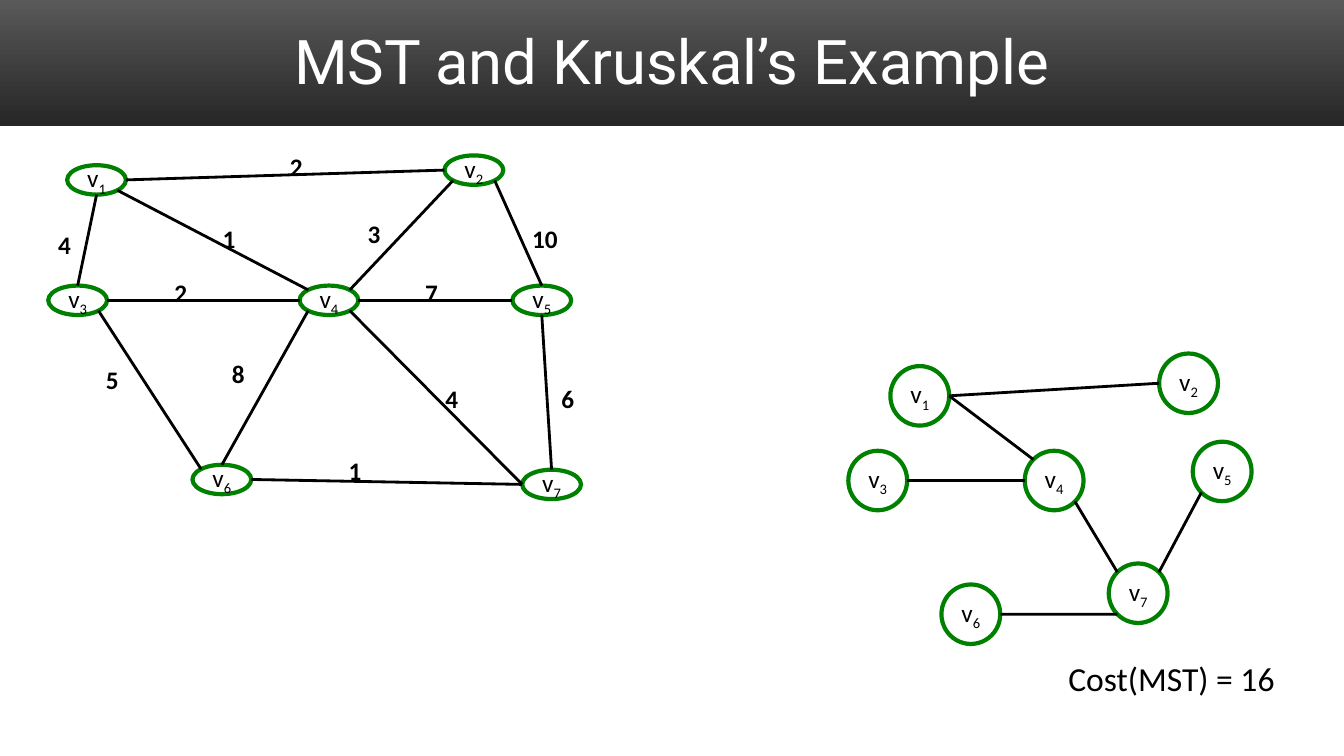
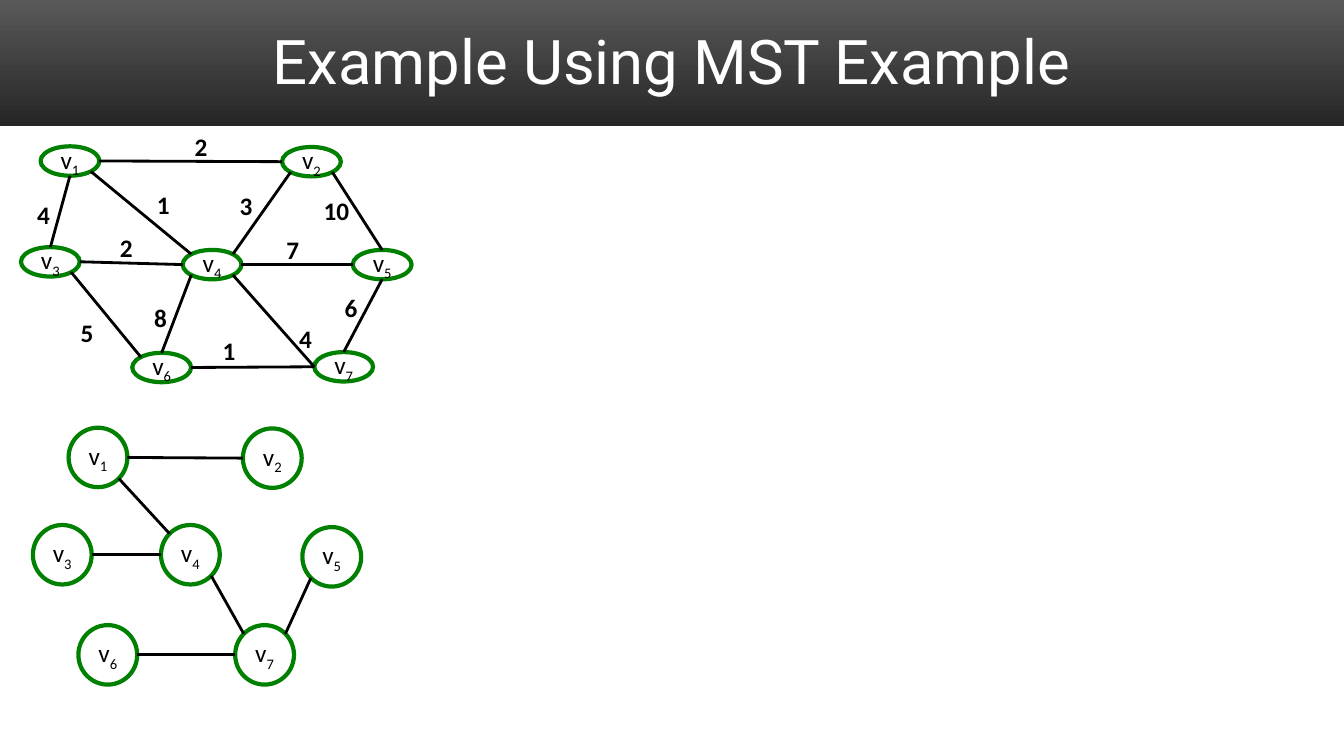
"""Builds two slides that compare a weighted graph with its minimum spanning tree."""
from dataclasses import dataclass
from math import cos, radians, sin

from pptx import Presentation
from pptx.dml.color import RGBColor
from pptx.enum import shapes as kinds, text as layout
from pptx.oxml import xmlchemy
from pptx.util import Pt


@dataclass(frozen=True)
class Theme:
    """Colours, fonts and sizes."""
    ink: str = "000000"
    title_ink: str = "FFFFFF"
    vertex_line: str = "008000"
    band: tuple = ("595959", "262626")
    title_font: str = "Roboto"
    body_font: str = "Calibri"
    title_size: int = 44
    note_size: int = 24
    label_size: int = 18
    vertex_weight: int = 3
    edge_weight: int = 2


THEME = Theme()
WIDTH, HEIGHT = 960, 540
VERTEX_WIDTH = 42
SITES = ("T", "TL", "L", "BL", "B", "BR", "R", "TR")

GRAPH_EDGES = [
    ("v1 R", "v2 L", 2), ("v1 B", "v3 T", 4), ("v1 BR", "v4 TL", 1),
    ("v2 BL", "v4 TR", 3), ("v2 BR", "v5 T", 10), ("v3 R", "v4 L", 2),
    ("v4 R", "v5 L", 7), ("v3 BR", "v6 TL", 5), ("v4 BL", "v6 T", 8),
    ("v4 BR", "v7 L", 4), ("v5 B", "v7 T", 6), ("v6 R", "v7 L", 1),
]
TREE_EDGES = [
    ("v1 R", "v2 L"), ("v3 R", "v4 L"), ("v4 BR", "v7 TL"), ("v5 BL", "v7 TR"),
]

SLIDES = [
    {
        "title": "MST and Kruskal’s Example",
        "graph": [(48, 118), (317.5, 111), (34.5, 204), (214, 204), (366, 204),
                  (137.5, 332), (373, 335.5)],
        "weights": [(200, 104.5), (34.5, 160), (152, 156), (255.5, 152.5),
                    (373, 156), (117.5, 194.5), (296.5, 194.5), (68.5, 256.5),
                    (158.5, 252.5), (311, 270), (394, 270), (242, 322)],
        "weight_height": 36,
        "tree": [(636, 261.5), (828, 252.5), (606, 322), (732, 322),
                 (852, 315.5), (672.5, 417.5), (792, 402.5)],
        "tree_edges": TREE_EDGES + [("v1 R", "v4 TL"), ("v6 R", "v7 BL")],
        "note": ("Cost(MST) = 16", (756, 466.5, 183, 36)),
    },
    {
        "title": "Example Using MST Example",
        "graph": [(29, 104.5), (201.5, 105), (15, 176.5), (130.5, 178.5),
                  (252, 178.5), (94.5, 252), (224.5, 251.5)],
        "weights": [(132, 90.5), (19.5, 139), (105, 132), (164, 132.5),
                    (224, 136), (78.5, 162.5), (197.5, 164), (50.5, 223),
                    (103, 212.5), (206.5, 227.5), (239, 205), (152, 236)],
        "weight_height": 29,
        "tree": [(49, 305.5), (173.5, 306), (23.5, 375), (115, 375),
                 (216, 376.5), (56, 446.5), (168, 446.5)],
        "tree_edges": TREE_EDGES + [("v1 BR", "v4 TL"), ("v6 R", "v7 L")],
        "note": None,
    },
]


def color(code):
    return RGBColor.from_string(code)


def add_run(paragraph, words, size, font=THEME.body_font, ink=THEME.ink, bold=None):
    run = paragraph.add_run()
    run.text = words
    run.font.size, run.font.name, run.font.bold = Pt(size), font, bold
    run.font.color.rgb = color(ink)
    return run


def add_label(slide, words, box, size, **style):
    label = slide.shapes.add_textbox(*map(Pt, box))
    label.text_frame.word_wrap = True
    add_run(label.text_frame.paragraphs[0], words, size, **style)
    return label.text_frame


def add_header(slide, title):
    band = slide.shapes.add_shape(kinds.MSO_SHAPE.RECTANGLE, 0, 0, Pt(WIDTH), Pt(90))
    band.shadow.inherit = False
    band.line.fill.background()
    band.fill.gradient()
    band.fill.gradient_angle = 270
    for stop, shade, position in zip(band.fill.gradient_stops, THEME.band, (0, 1)):
        stop.color.rgb, stop.position = color(shade), position
    frame = add_label(slide, title, (48, 10, 864, 66), THEME.title_size,
                      font=THEME.title_font, ink=THEME.title_ink)
    frame.vertical_anchor = layout.MSO_ANCHOR.MIDDLE
    frame.paragraphs[0].alignment = layout.PP_ALIGN.CENTER


def add_vertex(slide, number, place, height):
    vertex = slide.shapes.add_shape(
        kinds.MSO_SHAPE.OVAL, *map(Pt, (*place, VERTEX_WIDTH, height)))
    vertex.shadow.inherit = False
    vertex.fill.background()
    vertex.line.color.rgb = color(THEME.vertex_line)
    vertex.line.width = Pt(THEME.vertex_weight)
    frame = vertex.text_frame
    frame.word_wrap = False
    frame.vertical_anchor = layout.MSO_ANCHOR.MIDDLE
    name = frame.paragraphs[0]
    name.alignment = layout.PP_ALIGN.CENTER
    add_run(name, "v", THEME.label_size)
    index = add_run(name, str(number), THEME.label_size)
    index.font._element.set("baseline", "-25000")
    return vertex


def site_point(vertex, site):
    angle = radians(90 + 45 * SITES.index(site))
    return (int(vertex.left + vertex.width * (1 + cos(angle)) / 2),
            int(vertex.top + vertex.height * (1 - sin(angle)) / 2))


def add_edge(slide, vertices, *ends):
    joints = [(vertices[name], site) for name, site in map(str.split, ends)]
    start, finish = (site_point(*joint) for joint in joints)
    edge = slide.shapes.add_connector(kinds.MSO_CONNECTOR.STRAIGHT, *start, *finish)
    edge.line.color.rgb = color(THEME.ink)
    edge.line.width = Pt(THEME.edge_weight)
    edge._element.spPr.append(xmlchemy.OxmlElement("a:effectLst"))
    links = edge._element.nvCxnSpPr.cNvCxnSpPr
    for link, (vertex, site) in zip((links.get_or_add_stCxn(), links.get_or_add_endCxn()), joints):
        link.id, link.idx = vertex.shape_id, SITES.index(site)


def add_network(slide, places, height, edges):
    vertices = {f"v{number}": add_vertex(slide, number, place, height)
                for number, place in enumerate(places, 1)}
    for start, finish, *_ in edges:
        add_edge(slide, vertices, start, finish)


def main():
    deck = Presentation()
    deck.slide_width, deck.slide_height = Pt(WIDTH), Pt(HEIGHT)
    for content in SLIDES:
        slide = deck.slides.add_slide(deck.slide_layouts[6])
        add_header(slide, content["title"])
        add_network(slide, content["graph"], 21, GRAPH_EDGES)
        for (*_, weight), place in zip(GRAPH_EDGES, content["weights"]):
            width = 38 if weight > 9 else 27
            add_label(slide, str(weight), (*place, width, content["weight_height"]),
                      THEME.label_size, bold=True)
        add_network(slide, content["tree"], 42.5, content["tree_edges"])
        if content["note"]:
            add_label(slide, *content["note"], THEME.note_size)
    deck.save("out.pptx")


if __name__ == "__main__":
    main()
